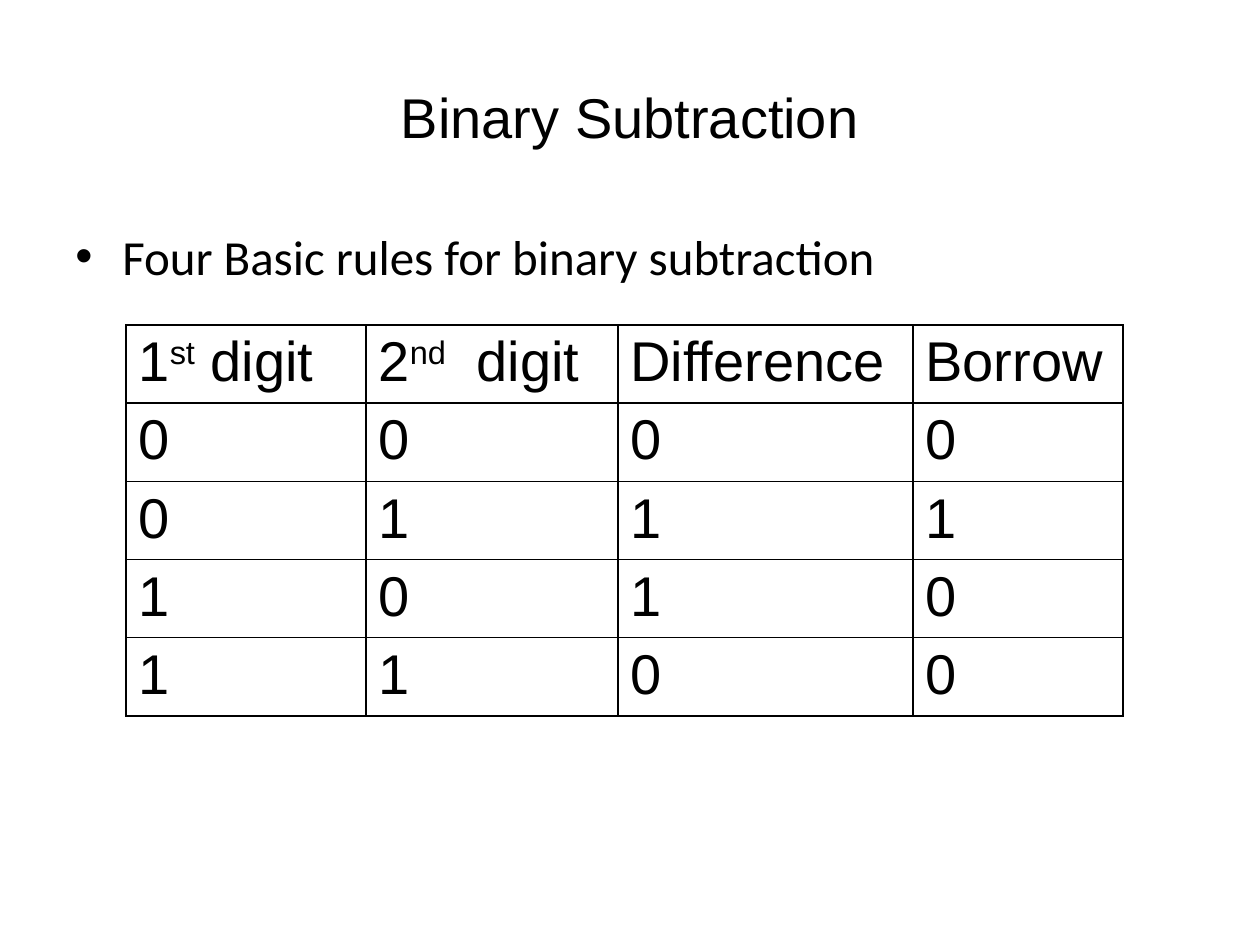
from pptx import Presentation
from pptx.dml.color import RGBColor
from pptx.enum.text import MSO_ANCHOR, PP_ALIGN
from pptx.oxml import parse_xml
from pptx.oxml.ns import nsdecls
from pptx.util import Emu, Pt

CENTER, JUSTIFY = PP_ALIGN.CENTER, PP_ALIGN.JUSTIFY
MIDDLE = MSO_ANCHOR.MIDDLE
BLACK = RGBColor(0, 0, 0)
PX = 914400 // 126

TITLE = "Binary Subtraction"
RULES_LINE = "Four Basic rules for binary subtraction"
# Each heading is a list of (text, is superscript) pieces.
HEADINGS = [
    [("1", False), ("st", True), (" digit", False)],
    [("2", False), ("nd", True), ("  digit", False)],
    [("Difference", False)],
    [("Borrow", False)],
]
RULES = ["0000", "0111", "1010", "1100"]

TITLE_BOX = (63, 38, 1134, 157)
RULES_BOX = (63, 220, 1124, 95)
TABLE_LEFT, TABLE_TOP, TABLE_HEIGHT = 126, 325, 378
COLUMN_WIDTHS = [240, 252, 295, 210]
BULLET_INDENT = 47


def px(length):
    return Emu(round(length * PX))


def style(font, name, size):
    font.name, font.size = name, Pt(size)
    font.color.rgb = BLACK


def add_text(slide, box, text, font_name, size):
    shape = slide.shapes.add_textbox(*map(px, box))
    frame = shape.text_frame
    frame.word_wrap = True
    frame.text = text
    style(frame.paragraphs[0].runs[0].font, font_name, size)
    return frame


def add_bullet(paragraph):
    properties = paragraph._p.get_or_add_pPr()
    properties.set("marL", str(px(BULLET_INDENT)))
    properties.set("indent", str(-px(BULLET_INDENT)))
    properties.append(parse_xml(f'<a:buFont {nsdecls("a")} typeface="Arial"/>'))
    properties.append(parse_xml(f'<a:buChar {nsdecls("a")} char="•"/>'))


def add_borders(cell):
    """Draw a thin solid line on all four sides of the cell."""
    properties = cell._tc.get_or_add_tcPr()
    for position, side in enumerate(("lnL", "lnR", "lnT", "lnB")):
        properties.insert(position, parse_xml(
            f'<a:{side} {nsdecls("a")} w="{Pt(1)}"><a:solidFill>'
            f'<a:srgbClr val="{BLACK}"/></a:solidFill></a:{side}>'))


def fill_cell(cell, pieces):
    cell.fill.background()
    cell.margin_top, cell.margin_bottom = px(6), px(5)
    add_borders(cell)
    paragraph = cell.text_frame.paragraphs[0]
    paragraph.alignment = JUSTIFY
    for text, is_superscript in pieces:
        run = paragraph.add_run()
        run.text = text
        style(run.font, "Arial", 32)
        if is_superscript:
            run._r.get_or_add_rPr().set("baseline", "30000")


def add_rules_table(slide):
    rows = [HEADINGS] + [[[(digit, False)] for digit in rule] for rule in RULES]
    table = slide.shapes.add_table(
        len(rows), len(COLUMN_WIDTHS), px(TABLE_LEFT), px(TABLE_TOP),
        px(sum(COLUMN_WIDTHS)), px(TABLE_HEIGHT)).table
    table.first_row = table.horz_banding = False
    for column, width in zip(table.columns, COLUMN_WIDTHS):
        column.width = px(width)
    for row, row_content in zip(table.rows, rows):
        row.height = px(TABLE_HEIGHT / len(rows))
        for cell, pieces in zip(row.cells, row_content):
            fill_cell(cell, pieces)


def main():
    presentation = Presentation()
    presentation.slide_width, presentation.slide_height = px(1260), px(945)
    slide = presentation.slides.add_slide(presentation.slide_layouts[6])

    title = add_text(slide, TITLE_BOX, TITLE, "Arial", 32)
    title.vertical_anchor = MIDDLE
    title.paragraphs[0].alignment = CENTER

    rules_line = add_text(slide, RULES_BOX, RULES_LINE, "Calibri", 28)
    add_bullet(rules_line.paragraphs[0])

    add_rules_table(slide)
    presentation.save("out.pptx")


if __name__ == "__main__":
    main()
